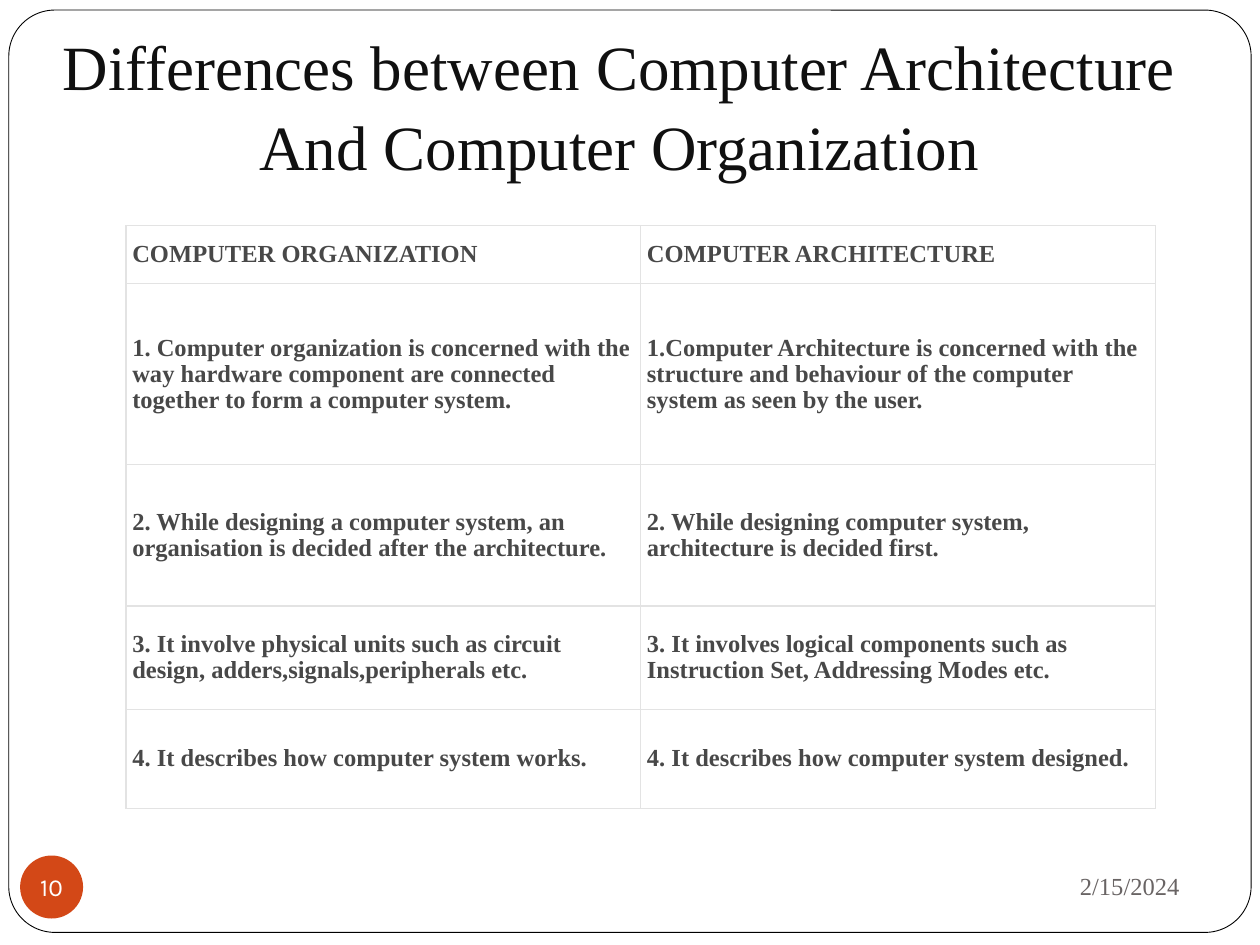
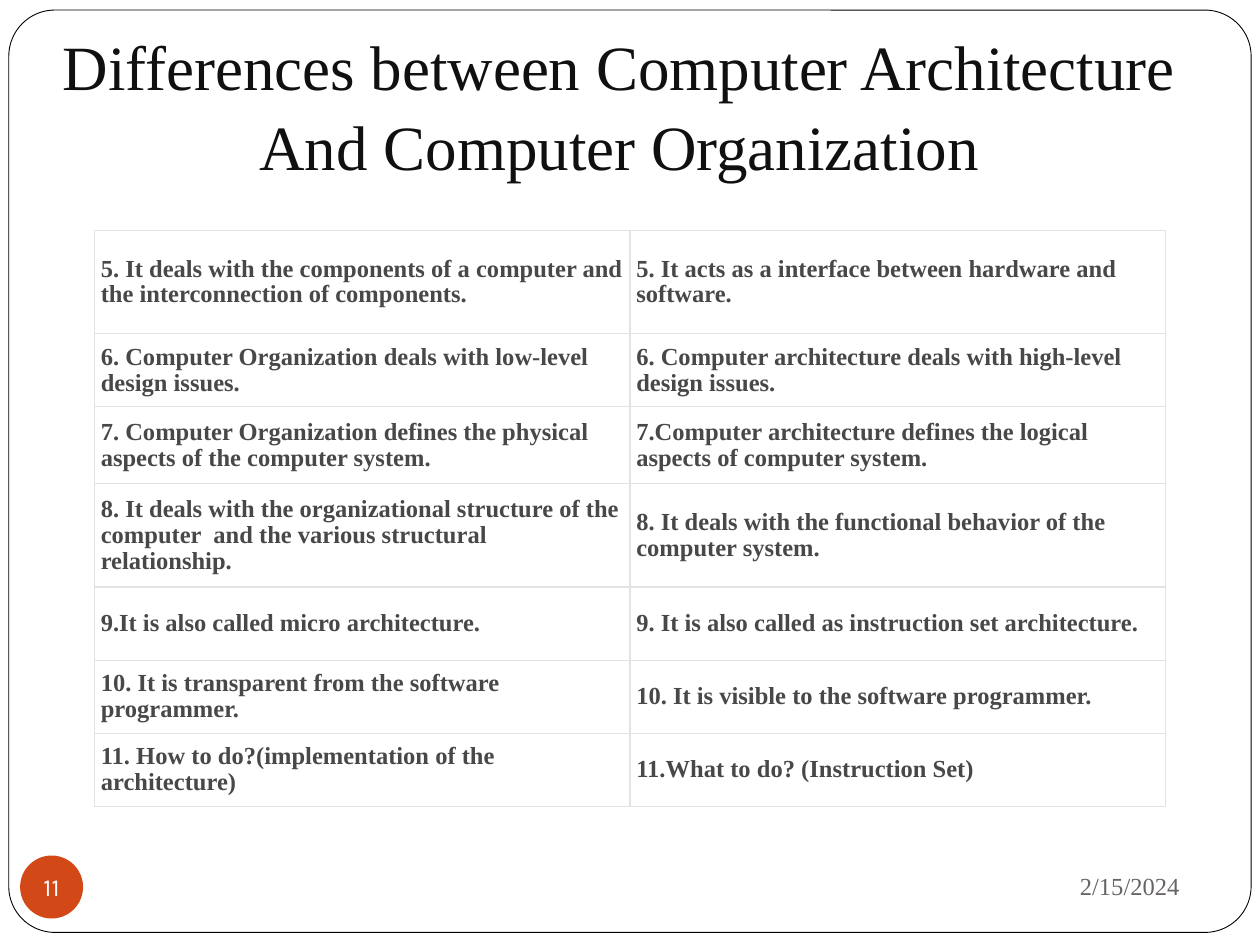
from lxml import etree
from pptx import Presentation
from pptx import util as u
from pptx.dml.color import RGBColor
from pptx.enum import shapes, text
from pptx.oxml.ns import qn

# Shared look
SERIF, SANS = "Times New Roman", "Karla"
INK, BODY, GREY = "101010", "484848", "696464"
WHITE, BLACK, RED, RULE = "FFFFFF", "000000", "D34817", "E3E3E3"
TITLE = "Differences between Computer Architecture And Computer Organization"
DATE = "2/15/2024"
LEFT, MID, RIGHT = text.PP_ALIGN.LEFT, text.PP_ALIGN.CENTER, text.PP_ALIGN.RIGHT


def hue(code):
    return RGBColor.from_string(code)


def put(frame, words, size=14, font=SERIF, color=BODY, bold=False,
        align=LEFT, space=None, wrap=True, pads=(0.1, 0.05, 0.1, 0.05),
        anchor=text.MSO_ANCHOR.MIDDLE):
    frame.word_wrap = wrap
    frame.vertical_anchor = anchor
    (frame.margin_left, frame.margin_top,
     frame.margin_right, frame.margin_bottom) = map(u.Inches, pads)
    para = frame.paragraphs[0]
    para.alignment = align
    para.line_spacing = space
    run = para.add_run()
    run.text = words
    run.font.size = u.Pt(size)
    run.font.name = font
    run.font.bold = bold
    run.font.color.rgb = hue(color)


# Each slide: number, table left, top, width, row heights, rows of text
pages = [
    (10, 1, 1.79, 8.17, [0.46, 1.44, 1.12, 0.82, 0.79], [
        ("COMPUTER ORGANIZATION", "COMPUTER ARCHITECTURE"),
        ("1. Computer organization is concerned with the way hardware "
         "component are connected together to form a computer system.",
         "1.Computer Architecture is concerned with the structure and "
         "behaviour of the computer system as seen by the user."),
        ("2. While designing a computer system, an organisation is decided "
         "after the architecture.",
         "2. While designing computer system, architecture is decided first."),
        ("3. It involve physical units such as circuit design, "
         "adders,signals,peripherals etc.",
         "3. It involves logical components such as Instruction Set, "
         "Addressing Modes etc."),
        ("4. It describes how computer system works.",
         "4. It describes how computer system designed."),
    ]),
    (11, 0.75, 1.83, 8.5, [0.82, 0.58, 0.61, 0.82, 0.58, 0.58, 0.58], [
        ("5. It deals with the components of a computer and the "
         "interconnection of components.",
         "5. It acts as a interface between hardware and software."),
        ("6. Computer Organization deals with low-level design issues.",
         "6. Computer architecture deals with high-level design issues."),
        ("7. Computer Organization defines the physical aspects of the "
         "computer system.",
         "7.Computer architecture defines the logical aspects of computer "
         "system."),
        ("8. It deals with the organizational structure of the computer  and "
         "the various structural relationship.",
         "8. It deals with the functional behavior of the computer system."),
        ("9.It is also called micro architecture.",
         "9. It is also called as instruction set architecture."),
        ("10. It is transparent from the software programmer.",
         "10. It is visible to the software programmer."),
        ("11. How to do?(implementation of the architecture)",
         "11.What to do? (Instruction Set)"),
    ]),
]

deck = Presentation()
deck.slide_width, deck.slide_height = u.Inches(10), u.Inches(7.5)

for number, left, top, width, heights, rows in pages:
    slide = deck.slides.add_slide(deck.slide_layouts[6])
    items = slide.shapes

    # Rounded page border
    page = items.add_shape(shapes.MSO_SHAPE.ROUNDED_RECTANGLE,
                           *map(u.Inches, (0.07, 0.08, 9.86, 7.32)))
    page.adjustments[0] = 0.05
    page.shadow.inherit = False
    page.fill.solid()
    page.fill.fore_color.rgb = hue(WHITE)
    page.line.color.rgb = hue(BLACK)
    page.line.width = u.Pt(0.5)

    # Title and date
    title = items.add_textbox(*map(u.Inches, (0.33, 0.33, 9.17, 1.22)))
    put(title.text_frame, TITLE, size=36, color=INK, align=MID, space=1.05,
        pads=(0.1, 0.05, 0.1, 0.1), anchor=text.MSO_ANCHOR.BOTTOM)
    date = items.add_textbox(*map(u.Inches, (6.75, 6.77, 2.71, 0.52)))
    put(date.text_frame, DATE, color=GREY, align=RIGHT)

    # Page number badge
    badge = items.add_shape(shapes.MSO_SHAPE.OVAL,
                            *map(u.Inches, (0.16, 6.79, 0.5, 0.5)))
    badge.shadow.inherit = False
    badge.fill.solid()
    badge.fill.fore_color.rgb = hue(RED)
    badge.line.fill.background()
    put(badge.text_frame, str(number), font=SANS, color=WHITE, align=MID,
        wrap=False, pads=(0, 0, 0, 0))

    # Comparison table
    grid = items.add_table(len(rows), 2, u.Inches(left), u.Inches(top),
                           u.Inches(width), u.Inches(sum(heights))).table
    grid.first_row = grid.horz_banding = False
    for line, height, pair in zip(grid.rows, heights, rows):
        line.height = u.Inches(height)
        for cell, words in zip(line.cells, pair):
            # Borders go ahead of the fill in the cell properties
            props = cell._tc.get_or_add_tcPr()
            for side in ("a:lnL", "a:lnR", "a:lnT", "a:lnB"):
                edge = etree.SubElement(props, qn(side), w=str(u.Pt(0.75)))
                paint = etree.SubElement(edge, qn("a:solidFill"))
                etree.SubElement(paint, qn("a:srgbClr"), val=RULE)
            cell.fill.solid()
            cell.fill.fore_color.rgb = hue(WHITE)
            put(cell.text_frame, words, bold=True, space=0.96, wrap=None)
            cell.vertical_anchor = text.MSO_ANCHOR.MIDDLE
            cell.margin_left = cell.margin_right = u.Inches(0.05)
            cell.margin_top = cell.margin_bottom = u.Inches(0.05)

deck.save("out.pptx")
